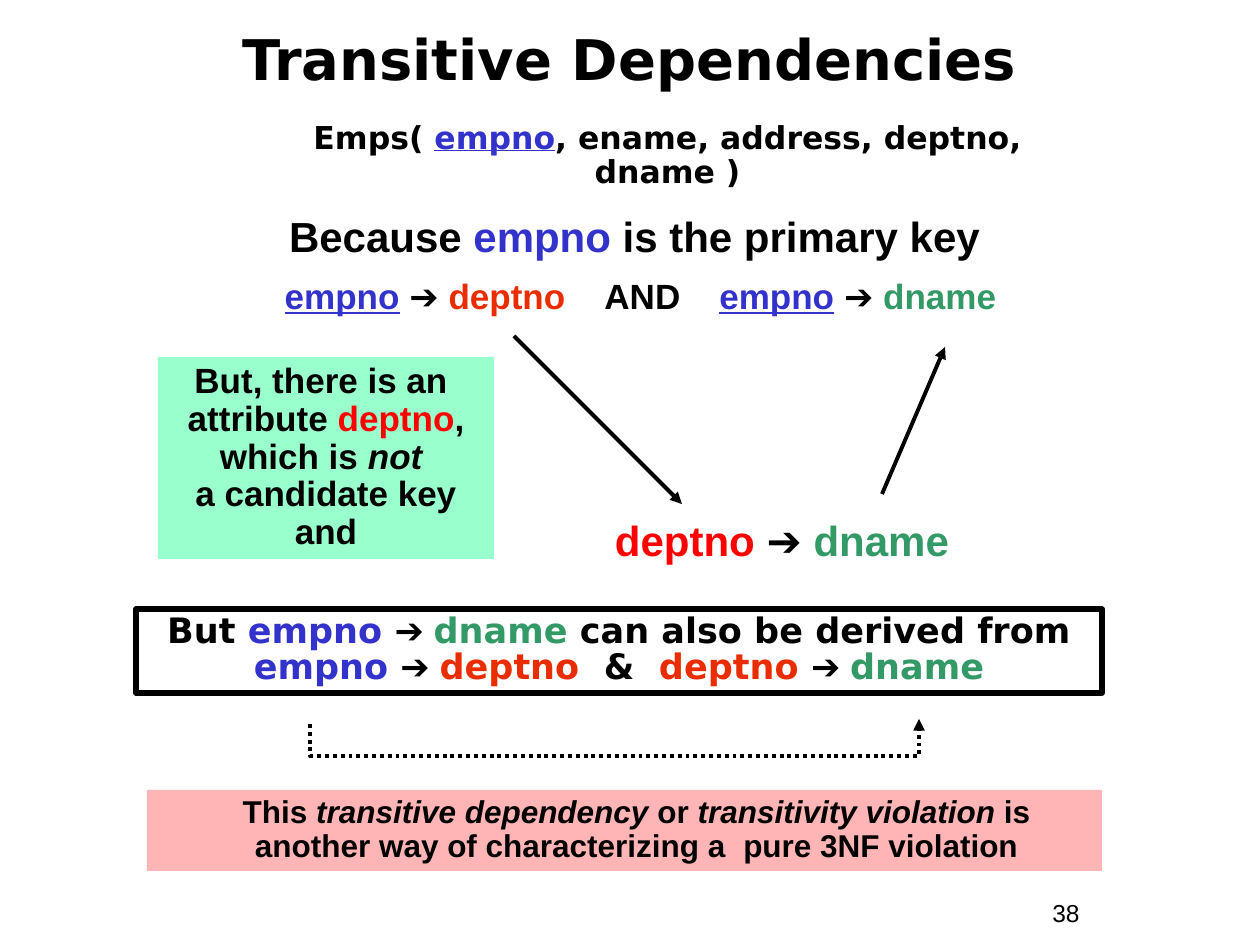
"""Build the slide explaining transitive dependencies."""
from lxml import etree
from pptx import Presentation
from pptx.dml.color import RGBColor
from pptx.enum.dml import MSO_LINE
from pptx.enum.shapes import MSO_CONNECTOR, MSO_SHAPE
from pptx.enum.text import MSO_ANCHOR, PP_ALIGN
from pptx.oxml.ns import qn
from pptx.util import Emu, Pt

STRAIGHT, ELBOW = MSO_CONNECTOR.STRAIGHT, MSO_CONNECTOR.ELBOW
RECTANGLE = MSO_SHAPE.RECTANGLE
TOP, MIDDLE = MSO_ANCHOR.TOP, MSO_ANCHOR.MIDDLE
LEFT, CENTER = PP_ALIGN.LEFT, PP_ALIGN.CENTER
DOTTED = MSO_LINE.ROUND_DOT
SCALE = 914400 / 126
PAGE_SIZE = (1260, 945)
ARIAL, DEJAVU = "Arial", "DejaVu Sans"

COLORS = {
    "black": "000000", "blue": "3333CC", "orange": "EA2D00", "red": "FF0000",
    "green": "339966", "mint": "99FFCC", "pink": "FFB5B5",
}

KEY = {"color": "blue"}
UNDERLINED_KEY = {"color": "blue", "underline": True}
DEPT = {"color": "orange"}
RED_DEPT = {"color": "red"}
NAME = {"color": "green"}
ITALIC = {"italic": True}
ARROW = ("➔ ", {"name": ARIAL})
AND_GAP = (" ", {"gap": 16.7})
AMPERSAND_GAP = (" ", {"gap": 7})
WORD_GAP = (" ", {"gap": 5})

TEXTS = [
    {"box": (1040, 892, 116, 43), "size": 14, "bold": False, "align": LEFT,
     "spacing": 1.0, "spans": [("38", {})]},
    {"box": (199, 21, 861, 84), "size": 32, "font": DEJAVU, "spacing": 0.85,
     "anchor": MIDDLE, "spans": [("Transitive Dependencies", {})]},
    {"box": (136, 609, 966, 84), "size": 20, "font": DEJAVU, "spacing": 0.85,
     "line": 3, "spans": [
         ("But ", {}), ("empno ", KEY), ARROW, ("dname", NAME),
         (" can also be derived from\n", {}), ("empno ", KEY), ARROW,
         ("deptno", DEPT), AMPERSAND_GAP, ("&", {}), AMPERSAND_GAP,
         ("deptno ", DEPT), ARROW, ("dname", NAME)]},
    {"box": (220, 210, 829, 58), "size": 24, "spans": [
        ("Because ", {}), ("empno", KEY), (" is the primary key", {})]},
    {"box": (254, 116, 803, 47), "size": 18, "font": DEJAVU, "indent": 24,
     "spans": [("Emps( ", {}), ("empno", UNDERLINED_KEY),
               (", ename, address, deptno, dname )", {})]},
    {"box": (126, 273, 1029, 50), "size": 20, "spans": [
        ("empno", UNDERLINED_KEY), (" ➔ ", {}), ("deptno", DEPT), AND_GAP,
        ("AND", {}), AND_GAP, ("empno", UNDERLINED_KEY), (" ➔ ", {}),
        ("dname", NAME)]},
    {"box": (158, 357, 336, 202), "size": 20, "fill": "mint", "spans": [
        ("But, there is an \nattribute ", {}), ("deptno", RED_DEPT),
        (",\nwhich is ", {}), ("not \n", ITALIC),
        ("a candidate key\nand", {})]},
    {"box": (588, 514, 388, 58), "size": 24, "spans": [
        ("deptno ", RED_DEPT), ARROW, ("dname", NAME)]},
    {"box": (147, 790, 955, 81), "size": 18, "fill": "pink", "indent": 24,
     "spans": [("This ", {}), ("transitive dependency ", ITALIC), ("or ", {}),
               ("transitivity violation", ITALIC),
               (" is another way of characterizing a", {}), WORD_GAP,
               ("pure 3NF violation", {})]},
]

ARROWS = [((514, 336), (682, 504)), ((882, 494), (945, 347))]
DERIVATION = {"start": (310, 724), "end": (919, 719), "bend": 756}


def px(value):
    return Emu(round(value * SCALE))


def rgb(name):
    return RGBColor.from_string(COLORS[name])


def add_span(para, text, style, base):
    for index, part in enumerate(text.split("\n")):
        if index:
            para.add_line_break()
        if not part:
            continue
        span = para.add_run()
        span.text = part
        values = {**base, **style}
        span.font.color.rgb = rgb(values.pop("color"))
        gap = values.pop("gap", 0)
        for key, value in values.items():
            setattr(span.font, key, value)
        if gap:
            span.font._element.set("spc", str(round(gap * 100)))


def add_text(page, item):
    place = [px(value) for value in item["box"]]
    if "fill" in item or "line" in item:
        box = page.shapes.add_shape(RECTANGLE, *place)
        box.shadow.inherit = False
    else:
        box = page.shapes.add_textbox(*place)
    if "fill" in item:
        box.fill.solid()
        box.fill.fore_color.rgb = rgb(item["fill"])
    else:
        box.fill.background()
    if "line" in item:
        box.line.color.rgb = rgb("black")
        box.line.width = Pt(item["line"])
    else:
        box.line.fill.background()
    frame = box.text_frame
    frame.word_wrap = True
    frame.vertical_anchor = item.get("anchor", TOP)
    para = frame.paragraphs[0]
    para.alignment = item.get("align", CENTER)
    para.line_spacing = item.get("spacing", 0.9)
    if "indent" in item:
        para._p.get_or_add_pPr().set("marL", str(px(item["indent"])))
    base = {"name": item.get("font", ARIAL), "size": Pt(item["size"]),
            "bold": item.get("bold", True), "color": "black"}
    para.font.size = base["size"]
    for text, style in item["spans"]:
        add_span(para, text, style, base)


def add_arrow(page, kind, start, end):
    arrow = page.shapes.add_connector(kind, *map(px, start + end))
    arrow.line.color.rgb = rgb("black")
    arrow.line.width = Pt(2.25)
    return arrow


def finish_arrow(arrow):
    etree.SubElement(arrow.line._get_or_add_ln(), qn("a:tailEnd"), type="triangle")
    etree.SubElement(arrow._element.spPr, qn("a:effectLst"))


def add_derivation(page, start, end, bend):
    width, rise = end[0] - start[0], start[1] - end[1]
    middle_x, middle_y = (start[0] + end[0]) / 2, (start[1] + end[1]) / 2
    right, bottom = middle_x + rise / 2, middle_y + width / 2
    arrow = add_arrow(page, ELBOW, (right, bottom), (right - rise, bottom - width))
    arrow.line.dash_style = DOTTED
    properties = arrow._element.spPr
    properties.find(qn("a:xfrm")).set("rot", str(90 * 60000))
    adjustments = properties.find(qn("a:prstGeom")).find(qn("a:avLst"))
    ratio = round((start[1] - bend) / rise * 100000)
    etree.SubElement(adjustments, qn("a:gd"), name="adj1", fmla=f"val {ratio}")
    finish_arrow(arrow)


def main():
    deck = Presentation()
    deck.slide_width, deck.slide_height = map(px, PAGE_SIZE)
    page = deck.slides.add_slide(deck.slide_layouts[6])
    for item in TEXTS:
        add_text(page, item)
    for start, end in ARROWS:
        finish_arrow(add_arrow(page, STRAIGHT, start, end))
    add_derivation(page, **DERIVATION)
    deck.save("out.pptx")


if __name__ == "__main__":
    main()
